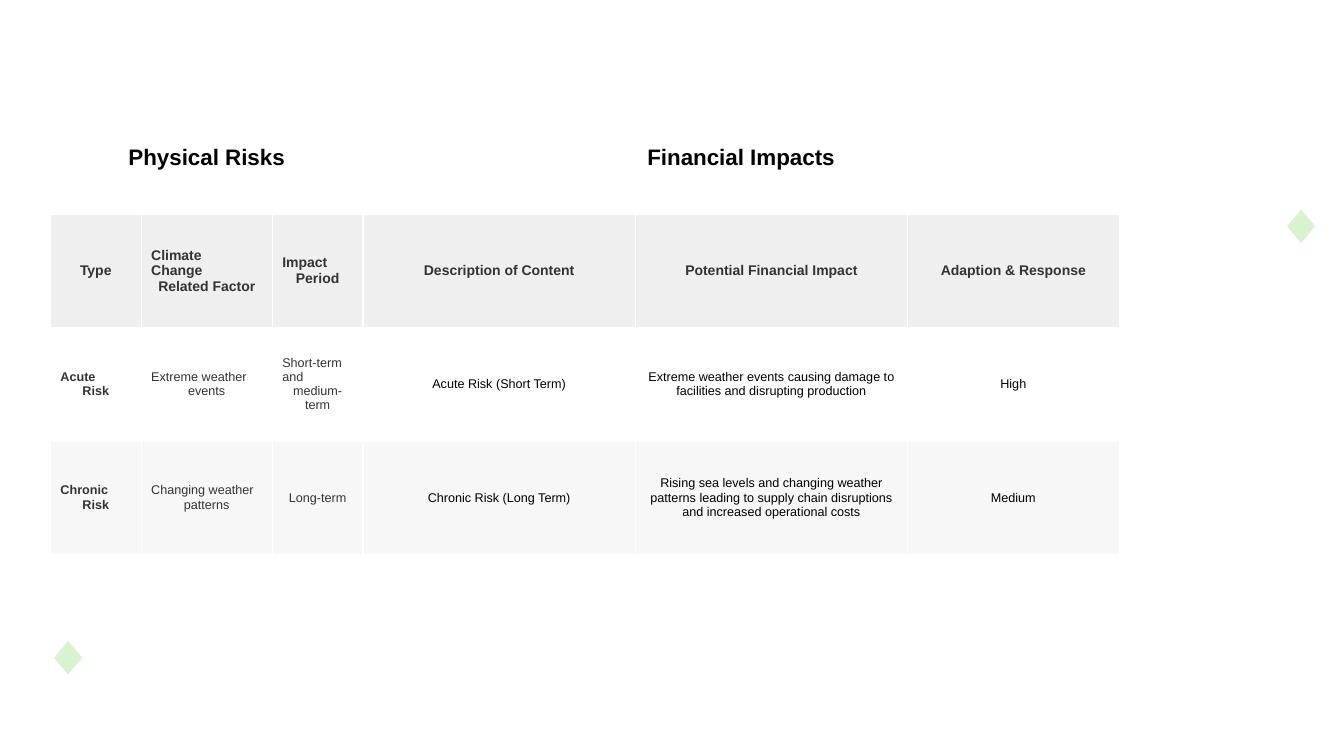
from dataclasses import dataclass

from lxml.etree import SubElement
from pptx import Presentation
from pptx.dml.color import RGBColor
from pptx.enum.shapes import MSO_SHAPE as Shape
from pptx.enum.text import MSO_ANCHOR as Anchor, PP_ALIGN as Align
from pptx.oxml.ns import qn
from pptx.util import Inches, Pt


@dataclass(frozen=True)
class Theme:
    """Colours, font and type sizes of the slide."""
    font: str = "Arial"
    green: str = "D9F2D0"
    white: str = "FFFFFF"
    black: str = "000000"
    dark: str = "333333"
    header_fill: str = "EFEFEF"
    band_fill: str = "F7F7F7"
    group_size: int = 16
    header_size: int = 10
    body_size: int = 9


THEME = Theme()
COLUMN_WIDTHS = (0.9, 1.3, 0.9, 2.7, 2.7, 2.1)
ROW_HEIGHT = 4.5 / 4
GROUPS = ("Physical Risks", "Financial Impacts")
GROUP_SPAN = len(COLUMN_WIDTHS) // len(GROUPS)
HEADERS = ("Type", "Climate\nChange\nRelated Factor", "Impact\nPeriod",
           "Description of Content", "Potential Financial Impact",
           "Adaption & Response")
RISKS = (
    ("Acute\nRisk", "Extreme weather\nevents", "Short-term\nand\nmedium-term",
     "Acute Risk (Short Term)",
     "Extreme weather events causing damage to facilities and disrupting production",
     "High"),
    ("Chronic\nRisk", "Changing weather\npatterns", "Long-term",
     "Chronic Risk (Long Term)",
     "Rising sea levels and changing weather patterns leading to supply chain "
     "disruptions and increased operational costs",
     "Medium"),
)
RISK_FILLS = (THEME.white, THEME.band_fill)


def rgb(value):
    """Turn a hex string into a colour."""
    return RGBColor.from_string(value)


def add_arc(page):
    """Draw the broad translucent arc in the top right corner."""
    arc = page.shapes.add_shape(Shape.ARC, Inches(10.9), Inches(-3.38),
                                Inches(4), Inches(4.97))
    arc.shadow.inherit = False
    arc.rotation = 151.3
    for index, degrees in enumerate((152.05, 215.37)):
        arc.adjustments[index] = degrees * 0.6
    arc.fill.background()
    arc.line.color.rgb = rgb(THEME.green)
    arc.line.width = Pt(46.25)
    colour = next(arc.line._ln.iter(qn("a:srgbClr")))
    SubElement(colour, qn("a:alpha"), val="60000")


def add_diamond(page, left, top):
    """Draw a small green diamond."""
    diamond = page.shapes.add_shape(Shape.DIAMOND, Inches(left), Inches(top),
                                    Inches(0.31), Inches(0.37))
    diamond.shadow.inherit = False
    diamond.fill.solid()
    diamond.fill.fore_color.rgb = rgb(THEME.green)
    diamond.line.color.rgb = rgb(THEME.white)
    diamond.line.width = Pt(1.5)


def fill_cell(cell, text, fill, size, colour, bold):
    """Write a cell whose last paragraph is centred and earlier ones left."""
    cell.fill.solid()
    cell.fill.fore_color.rgb = rgb(fill)
    cell.vertical_anchor = Anchor.MIDDLE
    cell.text_frame.text = text
    for para in cell.text_frame.paragraphs:
        para.alignment = Align.LEFT
        for span in para.runs:
            span.font.name = THEME.font
            span.font.size = Pt(size)
            span.font.bold = bold
            span.font.color.rgb = rgb(colour)
    para.alignment = Align.CENTER


def add_risk_table(page):
    """Add the table of physical risks and financial impacts."""
    row_count = 2 + len(RISKS)
    table = page.shapes.add_table(
        row_count, len(COLUMN_WIDTHS), Inches(0.5), Inches(1),
        Inches(sum(COLUMN_WIDTHS)), Inches(ROW_HEIGHT * row_count)).table
    table.first_row = table.horz_banding = False
    for column, width in zip(table.columns, COLUMN_WIDTHS):
        column.width = Inches(width)
    for row in table.rows:
        row.height = Inches(ROW_HEIGHT)

    for index, title in enumerate(GROUPS):
        first = index * GROUP_SPAN
        cell = table.cell(0, first)
        cell.merge(table.cell(0, first + GROUP_SPAN - 1))
        fill_cell(cell, title, THEME.white, THEME.group_size, THEME.black, True)
    for column, title in enumerate(HEADERS):
        fill_cell(table.cell(1, column), title, THEME.header_fill,
                  THEME.header_size, THEME.dark, True)
    for row, (risk, fill) in enumerate(zip(RISKS, RISK_FILLS), start=2):
        for column, text in enumerate(risk):
            colour = THEME.dark if column < GROUP_SPAN else THEME.black
            fill_cell(table.cell(row, column), text, fill,
                      THEME.body_size, colour, column == 0)


def main():
    """Build and save the slide."""
    deck = Presentation()
    deck.slide_width, deck.slide_height = Inches(13.33), Inches(7.5)
    page = deck.slides.add_slide(deck.slide_layouts[6])
    add_arc(page)
    add_diamond(page, 12.75, 2.06)
    add_diamond(page, 0.52, 6.34)
    add_risk_table(page)
    deck.save("out.pptx")


if __name__ == "__main__":
    main()
